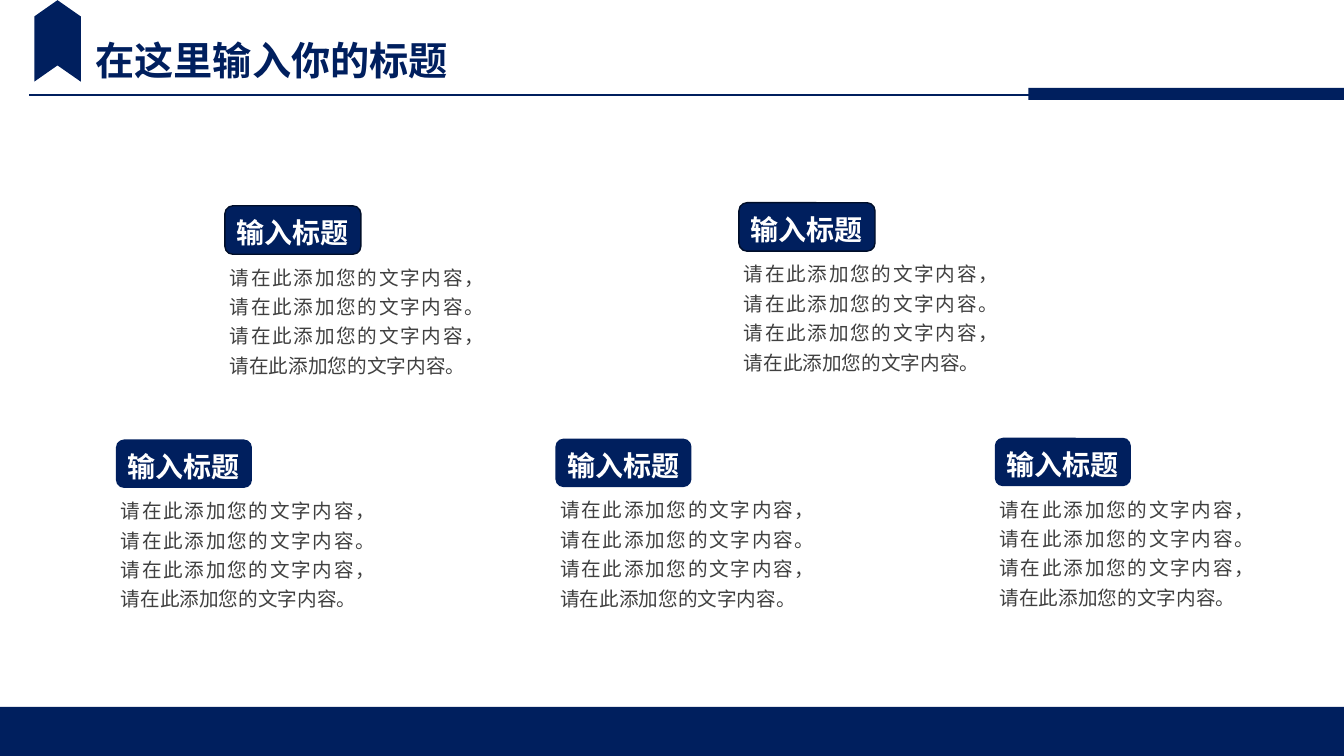
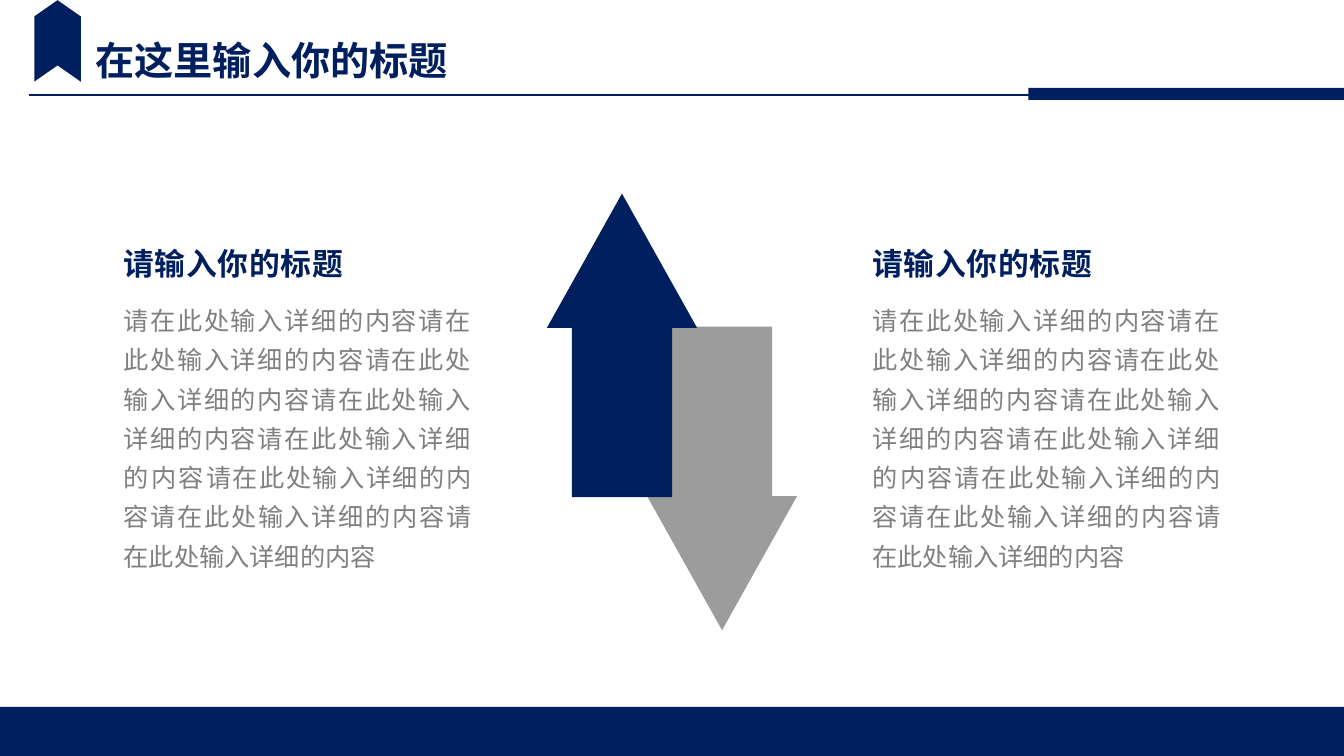
from lxml.etree import SubElement
from pptx import Presentation
from pptx.dml.color import RGBColor
from pptx.enum.shapes import MSO_CONNECTOR, MSO_SHAPE as SHAPE
from pptx.enum.text import MSO_ANCHOR, PP_ALIGN as ALIGN
from pptx.oxml.ns import qn
from pptx.util import Pt

FONT = "Noto Sans CJK SC"
COLORS = {"navy": "001F5E", "edge": "000E29", "gray": "9C9C9C",
          "body": "404040", "muted": "808080", "white": "FFFFFF"}
WIDTH, HEIGHT = 960, 540

TITLE = "在这里输入你的标题"
CARD_LABEL = "输入标题"
CARD_TEXT = ("请在此添加您的文字内容，请在此添加您的文字内容。 "
             "请在此添加您的文字内容，请在此添加您的文字内容。")
# left, top, border colour of each card label
TOP_CARDS = [(160.6, 147, "edge"), (527.8, 144.8, "edge")]
BOTTOM_CARDS = [(82.8 + 313.9 * i, 313.9 - 0.6 * i, None) for i in range(3)]

COLUMN_HEADING = "请输入你的标题"
SENTENCE = "请在此处输入详细的内容"
COLUMN_LEFTS = [81.2, 616.2]
TRACKING = 0.5
ARROWS = [(SHAPE.DOWN_ARROW, 462.2, 233.4, "gray"),
          (SHAPE.UP_ARROW, 390.7, 138.3, "navy")]


def rgb(name):
    return RGBColor.from_string(COLORS[name])


def add_shape(s, kind, left, top, width, height, fill, edge=None, adjust=()):
    sp = s.shapes.add_shape(kind, Pt(left), Pt(top), Pt(width), Pt(height))
    sp.shadow.inherit = False
    sp.fill.solid()
    sp.fill.fore_color.rgb = rgb(fill)
    if edge:
        sp.line.color.rgb = rgb(edge)
        sp.line.width = Pt(1)
    else:
        sp.line.fill.background()
    for i, value in enumerate(adjust):
        sp.adjustments[i] = value
    return sp


def write(tf, runs, size, color, bold=False, align=ALIGN.LEFT, spacing=None):
    """Fill the first paragraph with runs of (text, letter spacing in points)."""
    p = tf.paragraphs[0]
    p.alignment = align
    if spacing:
        p.line_spacing = spacing
    p.font.size, p.font.bold, p.font.name = Pt(size), bold, FONT
    p.font.color.rgb = rgb(color)
    SubElement(p._p.pPr.find(qn("a:defRPr")), qn("a:ea"), typeface=FONT)
    for text, tracking in runs:
        r = p.add_run()
        r.text = text
        if tracking:
            r._r.get_or_add_rPr().set("spc", str(round(tracking * 100)))


def add_text(s, left, top, width, height, *args, wrap=True, **style):
    tf = s.shapes.add_textbox(Pt(left), Pt(top), Pt(width), Pt(height)).text_frame
    tf.word_wrap = wrap
    write(tf, *args, **style)


def add_slide(prs):
    """Add a blank slide with the shared title, rule, ribbon and footer band."""
    s = prs.slides.add_slide(prs.slide_layouts[6])
    add_shape(s, SHAPE.RECTANGLE, 0, 505, WIDTH, HEIGHT - 505, "navy")
    rule = s.shapes.add_connector(MSO_CONNECTOR.STRAIGHT,
                                  Pt(20.8), Pt(68), Pt(829.4), Pt(68))
    rule.line.color.rgb = rgb("navy")
    rule.line.width = Pt(1.5)
    SubElement(rule._element.spPr, qn("a:effectLst"))
    add_shape(s, SHAPE.RECTANGLE, 734.6, 62.8, WIDTH - 734.6, 8.6, "navy")
    add_text(s, 61.2, 22.4, 269.3, 41.2, [(TITLE, 0)], 28, "navy",
             bold=True, wrap=False)
    ribbon = add_shape(s, SHAPE.CHEVRON, 12, 12.6, 58.2, 33.2, "navy", adjust=[0.35])
    ribbon.rotation = 270
    return s


def add_card(s, left, top, edge):
    label = add_shape(s, SHAPE.ROUNDED_RECTANGLE, left, top, 97.2, 34.6, "navy", edge)
    tf = label.text_frame
    tf.word_wrap = False
    tf.vertical_anchor = MSO_ANCHOR.MIDDLE
    tf.margin_top, tf.margin_bottom = Pt(3), 0
    write(tf, [(CARD_LABEL, 0)], 20, "white", bold=True, align=ALIGN.CENTER)
    add_text(s, left - 3.6, top + 34.9, 196, 90.7, [(CARD_TEXT, 0)], 14, "body",
             align=ALIGN.JUSTIFY, spacing=1.25)


def add_column(s, left):
    add_text(s, left, 171.4, 185.8, 33.8, [(COLUMN_HEADING, TRACKING)], 22, "navy",
             bold=True, align=ALIGN.JUSTIFY)
    add_text(s, left, 208.1, 262.8, 203.8,
             [(SENTENCE * 5, TRACKING), (SENTENCE * 3, 0)], 18, "muted",
             align=ALIGN.JUSTIFY, spacing=1.3)


def main():
    prs = Presentation()
    prs.slide_width, prs.slide_height = Pt(WIDTH), Pt(HEIGHT)

    s = add_slide(prs)
    for card in TOP_CARDS + BOTTOM_CARDS:
        add_card(s, *card)

    s = add_slide(prs)
    for kind, left, top, fill in ARROWS:
        add_shape(s, kind, left, top, 107.2, 216.8, fill, adjust=[0.667, 0.894])
    for left in COLUMN_LEFTS:
        add_column(s, left)

    prs.save("out.pptx")


if __name__ == "__main__":
    main()
